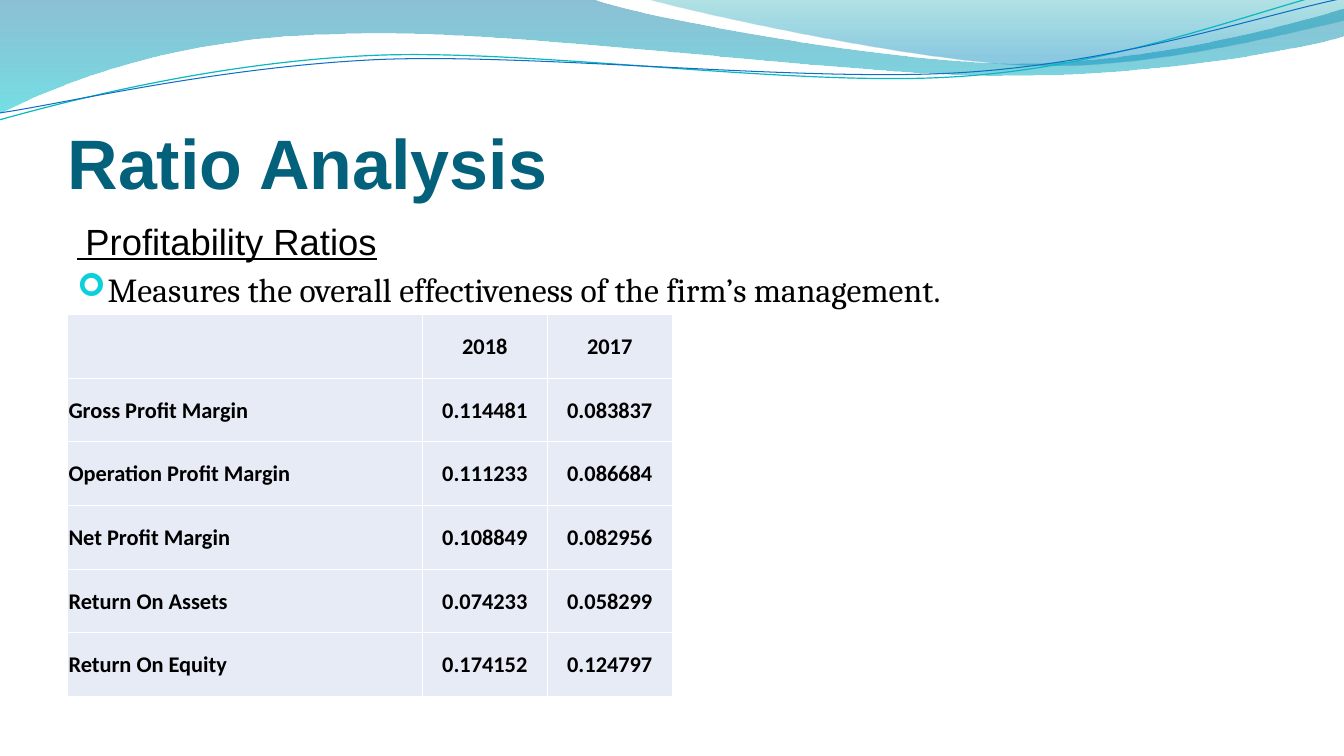
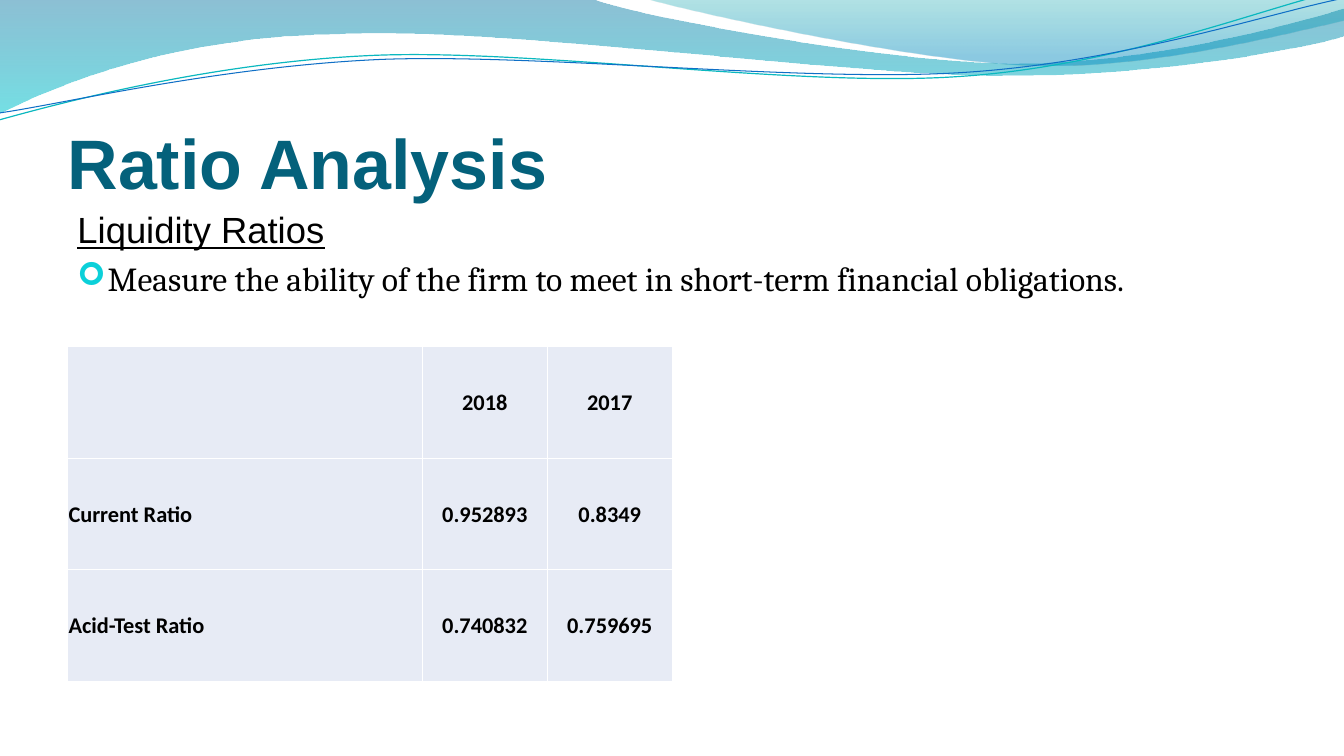
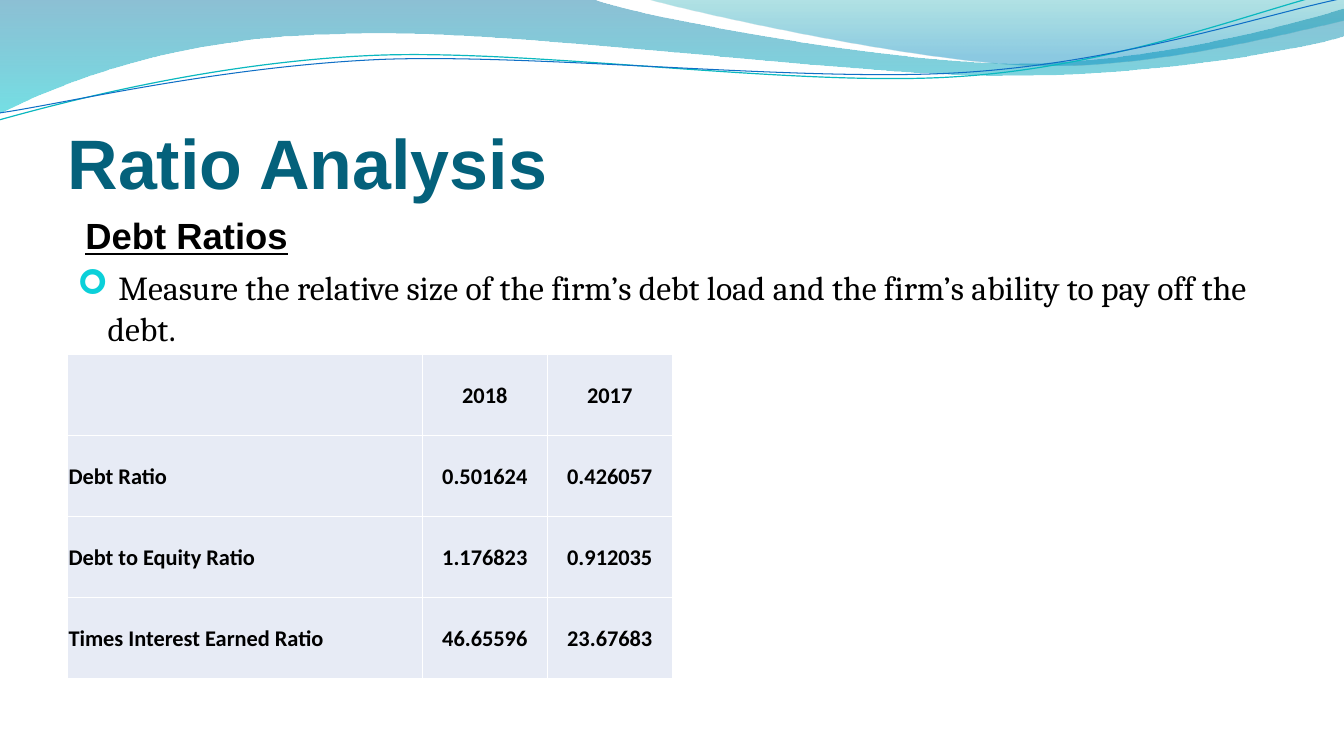
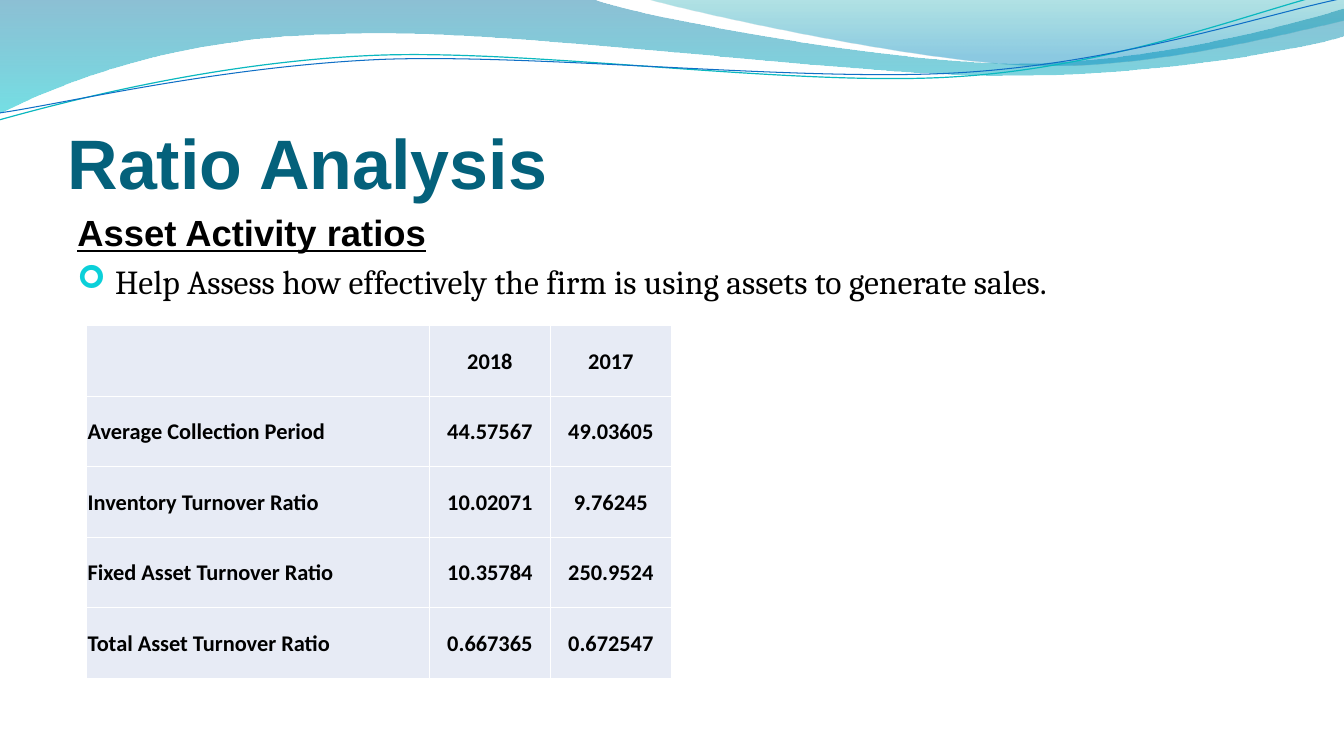
from dataclasses import dataclass

from lxml import etree
from pptx import Presentation
from pptx.dml.color import RGBColor
from pptx.enum.text import MSO_ANCHOR, PP_ALIGN
from pptx.oxml.ns import qn
from pptx.util import Emu, Inches, Pt

BOTTOM, MIDDLE = MSO_ANCHOR.BOTTOM, MSO_ANCHOR.MIDDLE
LEFT, CENTER = PP_ALIGN.LEFT, PP_ALIGN.CENTER


@dataclass(frozen=True)
class Theme:
    title_color: str = "04617B"
    text_color: str = "000000"
    bullet_color: str = "0BD0D9"
    cell_color: str = "E7EBF5"
    grid_color: str = "FFFFFF"
    heading_font: str = "Arial"
    body_font: str = "Cambria"
    table_font: str = "Calibri"
    bullet_font: str = "Wingdings"
    title_size: int = 50
    heading_size: int = 26
    body_size: int = 24
    table_size: int = 16
    grid_width: float = 1
    bullet: str = "\u27a2"


THEME = Theme()
TITLE = "Ratio Analysis"
TITLE_BOX = (0.67, 0.77, 12, 1.25)
YEARS = ("", "2018", "2017")

SECTIONS = [
    {
        "heading": "Profitability Ratios", "bold": False, "hanging": False,
        "heading_lead": [(" ", THEME.body_font, THEME.heading_size, True)],
        "summary": "Measures the overall effectiveness of the firm\u2019s management.",
        "summary_lead": [],
        "body_box": (0.67, 2.12, 12, 4.8),
        "table_at": (0.67, 3.12), "table_height": 3.79, "columns": (3.52, 1.24, 1.24),
        "ratios": [
            ("Gross Profit Margin", "0.114481", "0.083837"),
            ("Operation Profit Margin", "0.111233", "0.086684"),
            ("Net Profit Margin", "0.108849", "0.082956"),
            ("Return On Assets", "0.074233", "0.058299"),
            ("Return On Equity", "0.174152", "0.124797"),
        ],
    },
    {
        "heading": "Liquidity Ratios", "bold": False, "hanging": True,
        "heading_lead": [],
        "summary": "Measure the ability of the firm to meet in short-term financial obligations.",
        "summary_lead": [],
        "body_box": (0.67, 2.01, 11.75, 4.74),
        "table_at": (0.67, 3.44), "table_height": 3.32, "columns": (3.52, 1.24, 1.24),
        "ratios": [
            ("Current Ratio", "0.952893", "0.8349"),
            ("Acid-Test Ratio", "0.740832", "0.759695"),
        ],
    },
    {
        "heading": "Debt Ratios", "bold": True, "hanging": True,
        "heading_lead": [(" ", THEME.body_font, THEME.heading_size)],
        "summary": "Measure the relative size of the firm\u2019s debt load and "
                   "the firm\u2019s ability to pay off the debt.",
        "summary_lead": [(" ", THEME.heading_font, THEME.heading_size)],
        "body_box": (0.67, 2.07, 12, 5.43),
        "table_at": (0.67, 3.52), "table_height": 3.21, "columns": (3.52, 1.24, 1.24),
        "ratios": [
            ("Debt Ratio", "0.501624", "0.426057"),
            ("Debt to Equity Ratio", "1.176823", "0.912035"),
            ("Times Interest Earned Ratio", "46.65596", "23.67683"),
        ],
    },
    {
        "heading": "Asset Activity ratios", "bold": True, "hanging": True,
        "heading_lead": [],
        "summary": " Help Assess how effectively the firm is using assets to generate sales.",
        "summary_lead": [],
        "body_box": (0.67, 2.04, 11.81, 4.69),
        "table_at": (0.86, 3.23), "table_height": 3.5, "columns": (3.4, 1.2, 1.2),
        "ratios": [
            ("Average Collection Period", "44.57567", "49.03605"),
            ("Inventory Turnover Ratio", "10.02071", "9.76245"),
            ("Fixed Asset Turnover Ratio", "10.35784", "250.9524"),
            ("Total Asset Turnover Ratio", "0.667365", "0.672547"),
        ],
    },
]

BANDS = [
    {
        "start": (0, 0),
        "steps": [
            (5.87, -0.01),
            (6.34, 0.17, 8.85, 0.63, 10.11, 0.63),
            (11.38, 0.63, 12.78, 0.26, 13.33, 0.09),
            (13.35, 0.36),
            (13.11, 0.44, 11.6, 0.76, 9.94, 0.75),
            (8.29, 0.75, 5.09, 0.28, 3.43, 0.34),
            (1.72, 0.36, 0.61, 0.83, -0.01, 1.13),
            (0, 0),
        ],
        "stops": [(0, "0074A1", 45), (1, "00C6CF", 55)],
    },
    {
        "start": (6.39, -0.01),
        "steps": [
            (6.79, 0.11, 9.09, 0.62, 10.25, 0.65),
            (11.41, 0.69, 12.82, 0.32, 13.33, 0.21),
            (13.33, 0),
            (6.39, -0.01),
        ],
        "stops": [(0, "00A1A9", 30), (0.8, "008BBF", 45)],
    },
]
WAVES = [
    {
        "start": (-0.01, 1.19),
        "steps": [
            (0.64, 1.01, 2.11, 0.62, 3.69, 0.55),
            (5.27, 0.48, 7.9, 0.87, 9.5, 0.76),
            (11.1, 0.66, 12.52, 0.08, 13.31, -0.1),
        ],
        "color": "0AB8BF", "width": 0.85,
    },
    {
        "start": (0, 1.12),
        "steps": [
            (0.63, 1.03, 2.18, 0.66, 3.78, 0.59),
            (5.37, 0.53, 7.96, 0.82, 9.55, 0.72),
            (11.15, 0.62, 12.55, 0.14, 13.34, -0.02),
        ],
        "color": "0F6FC6", "width": 0.75,
    },
]


def rgb(code):
    return RGBColor.from_string(code)


def add_xml(parent, tag, **attributes):
    return etree.SubElement(parent, qn(tag), attributes)


def bend(shape, steps):
    segments = iter(list(shape.element.iter(qn("a:lnTo"))))
    for step in steps:
        first = next(segments)
        if len(step) == 6:
            first.tag = qn("a:cubicBezTo")
            for _ in range(2):
                control = next(segments)
                first.append(control[0])
                control.getparent().remove(control)


def add_outline(slide, outline, closed):
    points = [outline["start"]]
    for step in outline["steps"]:
        points += zip(step[::2], step[1::2])
    points = [(Inches(x), Inches(y)) for x, y in points]
    builder = slide.shapes.build_freeform(*points[0], scale=1.0)
    builder.add_line_segments(points[1:], close=closed)
    shape = builder.convert_to_shape()
    bend(shape, outline["steps"])
    shape.shadow.inherit = False
    return shape


def add_band(slide, band):
    shape = add_outline(slide, band, True)
    shape.fill.gradient()
    shape.fill.gradient_angle = 270
    for stop, (position, color, _) in zip(shape.fill.gradient_stops, band["stops"]):
        stop.position = position
        stop.color.rgb = rgb(color)
    for color, (_, _, opacity) in zip(shape.element.iter(qn("a:srgbClr")), band["stops"]):
        add_xml(color, "a:alpha", val=str(opacity * 1000))
    shape.line.fill.background()
    return shape


def add_wave(slide, wave):
    shape = add_outline(slide, wave, False)
    shape.fill.background()
    shape.line.color.rgb = rgb(wave["color"])
    shape.line.width = Pt(wave["width"])
    return shape


def decorate_master(master, slide):
    header = [add_band(slide, band) for band in BANDS]
    header += [add_wave(slide, wave) for wave in WAVES]
    for shape in header:
        master.shapes.element.append(shape.element)


def add_run(paragraph, text, font, size, underline=False, bold=False, color=THEME.text_color):
    run = paragraph.add_run()
    run.text = text
    run.font.name = font
    run.font.size = Pt(size)
    run.font.underline = underline
    run.font.bold = bold
    run.font.color.rgb = rgb(color)


def add_frame(slide, box):
    frame = slide.shapes.add_textbox(*map(Inches, box)).text_frame
    frame.word_wrap = True
    return frame


def format_paragraph(paragraph, hanging, bulleted):
    properties = paragraph._p.get_or_add_pPr()
    if hanging:
        properties.set("marL", str(Inches(0.3)))
        properties.set("indent", str(Inches(-0.3)))
    add_xml(add_xml(properties, "a:spcBef"), "a:spcPct", val="20000")
    if bulleted:
        add_xml(add_xml(properties, "a:buClr"), "a:srgbClr", val=THEME.bullet_color)
        add_xml(properties, "a:buSzPct", val="95000")
        add_xml(properties, "a:buFont", typeface=THEME.bullet_font, charset="2")
        add_xml(properties, "a:buChar", char=THEME.bullet)


def add_title(slide):
    frame = add_frame(slide, TITLE_BOX)
    frame.vertical_anchor = BOTTOM
    frame.margin_left = frame.margin_right = frame.margin_bottom = 0
    add_run(frame.paragraphs[0], TITLE, THEME.heading_font, THEME.title_size,
            bold=True, color=THEME.title_color)


def add_body(slide, section):
    frame = add_frame(slide, section["body_box"])
    heading, summary = frame.paragraphs[0], frame.add_paragraph()
    format_paragraph(heading, section["hanging"], False)
    format_paragraph(summary, True, True)
    for lead in section["heading_lead"]:
        add_run(heading, *lead)
    add_run(heading, section["heading"], THEME.heading_font, THEME.heading_size,
            True, section["bold"])
    for lead in section["summary_lead"]:
        add_run(summary, *lead)
    add_run(summary, section["summary"], THEME.body_font, THEME.body_size)


def format_cell(cell, text, alignment):
    properties = cell._tc.get_or_add_tcPr()
    for side in ("a:lnL", "a:lnR", "a:lnT", "a:lnB"):
        border = add_xml(properties, side, w=str(Pt(THEME.grid_width)))
        add_xml(add_xml(border, "a:solidFill"), "a:srgbClr", val=THEME.grid_color)
    cell.fill.solid()
    cell.fill.fore_color.rgb = rgb(THEME.cell_color)
    cell.vertical_anchor = MIDDLE
    cell.margin_left = cell.margin_right = cell.margin_top = Inches(0.01)
    cell.margin_bottom = 0
    if text:
        paragraph = cell.text_frame.paragraphs[0]
        paragraph.alignment = alignment
        add_run(paragraph, text, THEME.table_font, THEME.table_size, bold=True)


def add_ratios(slide, section):
    rows = [YEARS] + section["ratios"]
    left, top = section["table_at"]
    columns, height = section["columns"], section["table_height"]
    table = slide.shapes.add_table(
        len(rows), len(columns), Inches(left), Inches(top),
        Inches(sum(columns)), Inches(height)).table
    table.first_row = table.horz_banding = False
    for column, width in zip(table.columns, columns):
        column.width = Inches(width)
    for r, row in enumerate(rows):
        table.rows[r].height = Emu(Inches(height) // len(rows))
        for c, text in enumerate(row):
            format_cell(table.cell(r, c), text, CENTER if c else LEFT)


deck = Presentation()
deck.slide_width, deck.slide_height = Inches(40 / 3), Inches(7.5)
blank = deck.slide_layouts[6]
for number, section in enumerate(SECTIONS):
    slide = deck.slides.add_slide(blank)
    if number == 0:
        decorate_master(deck.slide_master, slide)
    add_title(slide)
    add_body(slide, section)
    add_ratios(slide, section)
deck.save("out.pptx")
